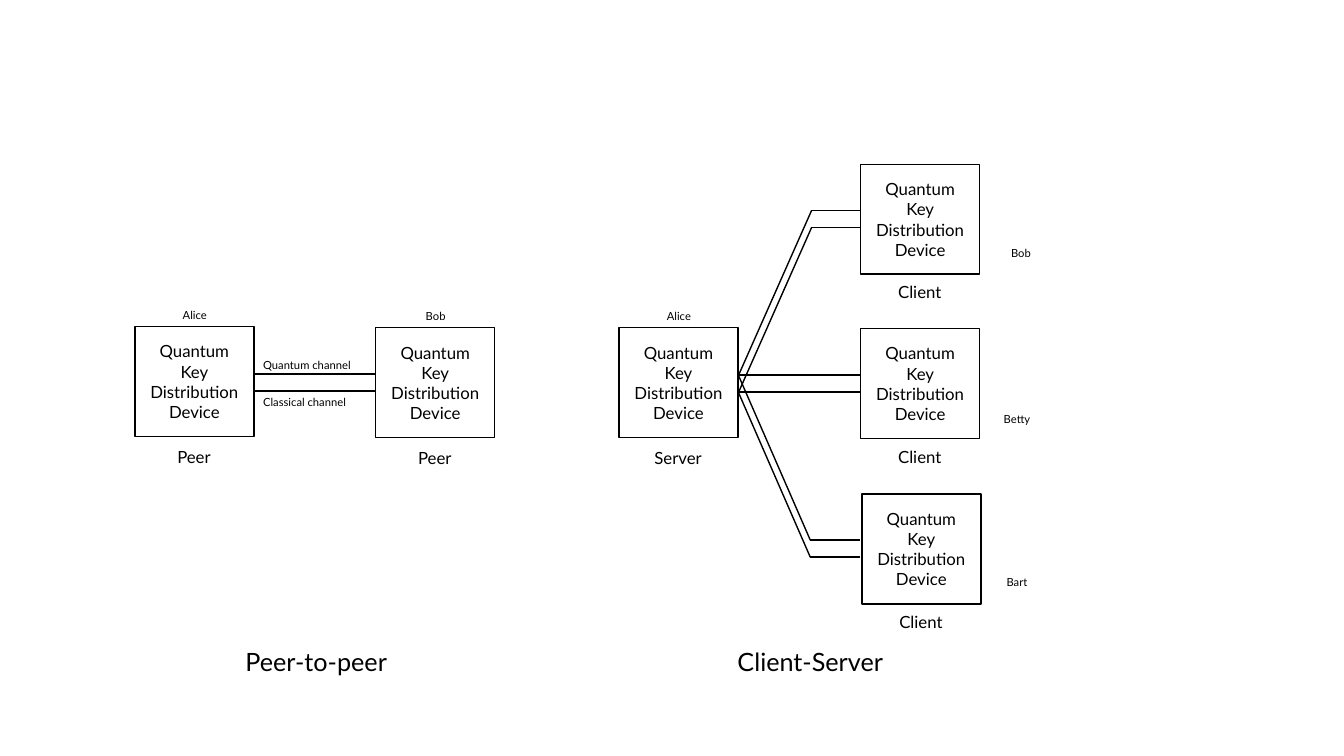
from pptx import Presentation
from pptx.dml.color import RGBColor
from pptx.enum.shapes import MSO_CONNECTOR, MSO_SHAPE
from pptx.enum.text import MSO_ANCHOR, PP_ALIGN
from pptx.oxml.ns import qn
from pptx.util import Cm, Pt
from lxml.etree import SubElement

COLORS = {"ink": "000000"}
DEVICE = ["Quantum", "Key", "Distribution", "Device"]
WIDE, HIGH = 3, 2.77
LANE = 0.43


class Board:
    font = "Lato"
    ink = RGBColor.from_string(COLORS["ink"])

    def __init__(self, slide):
        self.slide = slide

    def text(self, shape, lines, size, align=PP_ALIGN.CENTER):
        frame = shape.text_frame
        frame.word_wrap = True
        frame.vertical_anchor = MSO_ANCHOR.MIDDLE
        frame.margin_left = frame.margin_right = 0
        frame.margin_top = frame.margin_bottom = 0
        for i, line in enumerate(lines):
            para = frame.add_paragraph() if i else frame.paragraphs[0]
            para.alignment = align
            run = para.add_run()
            run.text = line
            run.font.name = self.font
            run.font.size = Pt(size)
            run.font.color.rgb = self.ink

    def label(self, words, x, y, wide, high, size, align=PP_ALIGN.CENTER):
        box = self.slide.shapes.add_textbox(Cm(x), Cm(y), Cm(wide), Cm(high))
        self.text(box, [words], size, align)

    def name(self, words, x, y, wide=WIDE):
        self.label(words, x, y, wide, 0.56, 8)

    def device(self, role, x, y, gap):
        box = self.slide.shapes.add_shape(
            MSO_SHAPE.RECTANGLE, Cm(x), Cm(y), Cm(WIDE), Cm(HIGH))
        box.shadow.inherit = False
        box.fill.background()
        box.line.color.rgb = self.ink
        box.line.width = Pt(1)
        self.text(box, DEVICE, 12)
        self.label(role, x - 0.01, y + gap, WIDE, 0.91, 12)

    def line(self, x1, y1, x2, y2):
        link = self.slide.shapes.add_connector(
            MSO_CONNECTOR.STRAIGHT, Cm(x1), Cm(y1), Cm(x2), Cm(y2))
        link.line.color.rgb = self.ink
        link.line.width = Pt(1)
        SubElement(link._element.spPr, qn("a:effectLst"))

    def lanes(self, x1, y1, x2, y2):
        for drop in (0, LANE):
            self.line(x1, y1 + drop, x2, y2 + drop)


def main():
    deck = Presentation()
    deck.slide_width, deck.slide_height = Cm(33.87), Cm(19.05)
    board = Board(deck.slides.add_slide(deck.slide_layouts[6]))

    hosts = [
        ("Alice", "Peer", 3.4, 8.23),
        ("Bob", "Peer", 9.47, 8.26),
        ("Alice", "Server", 15.6, 8.26),
    ]
    for name, role, x, y in hosts:
        board.device(role, x, y, 2.83)
        board.name(name, x + 0.01, y - 0.58)

    clients = [
        ("Bob", 21.69, 4.14, 24.89, 6.1, 1.68),
        ("Betty", 21.69, 8.28, 24.13, 10.29, WIDE),
        ("Bart", 21.72, 12.45, 24.79, 14.38, 1.68),
    ]
    for name, x, y, left, top, wide in clients:
        board.device("Client", x, y, 2.77)
        board.name(name, left, top, wide)

    board.lanes(9.47, 9.42, 6.38, 9.42)
    for words, y in (("Quantum channel", 8.79), ("Classical channel", 9.73)):
        board.label(words, 6.63, y, 2.67, 0.81, 8, PP_ALIGN.LEFT)

    board.lanes(21.69, 9.45, 18.59, 9.45)
    for bend, y in ((20.45, 5.31), (20.42, 13.61)):
        board.lanes(21.68, y, bend, y)
        board.lanes(bend, y, 18.61, 9.46)

    for words, x in (("Peer-to-peer", 5.28), ("Client-Server", 17.73)):
        board.label(words, x, 16.03, 5.38, 1.27, 18)

    deck.save("out.pptx")


if __name__ == "__main__":
    main()
